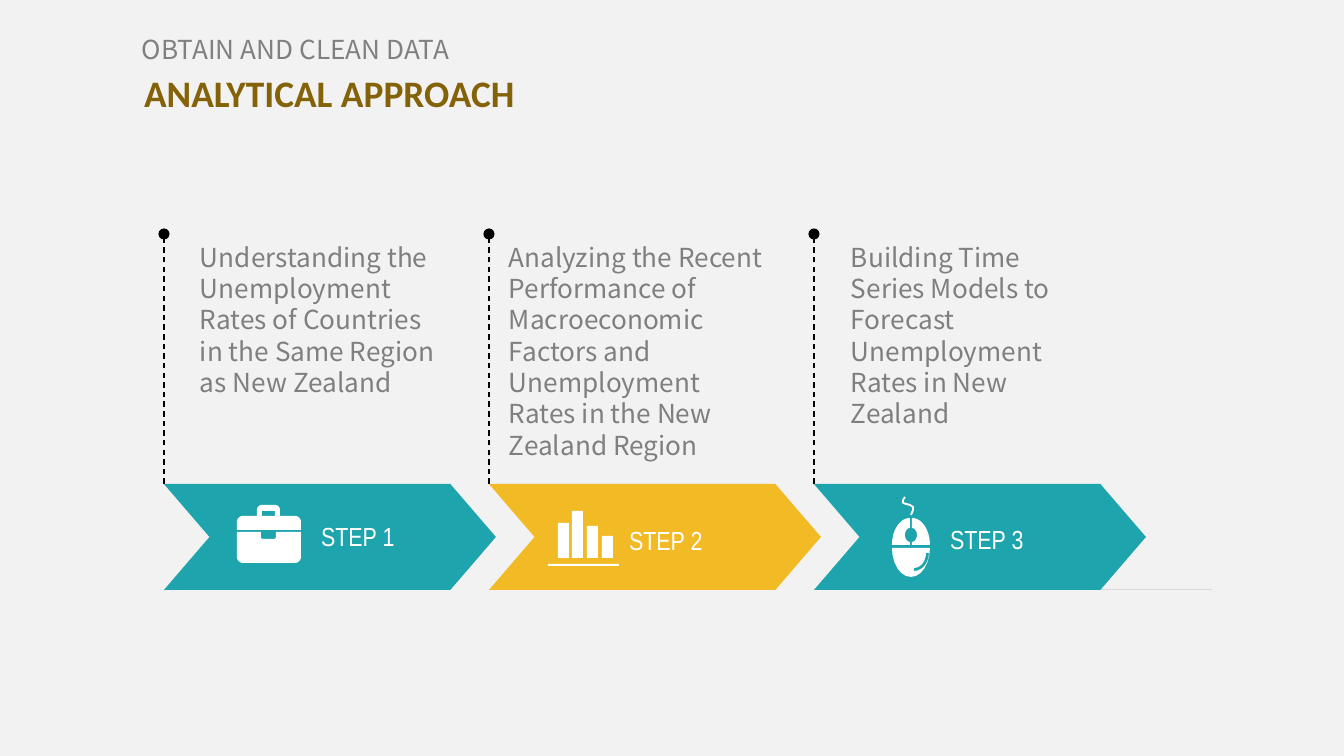
from dataclasses import dataclass
from math import cos, radians, sin

from lxml import etree
from pptx import Presentation
from pptx.dml.color import RGBColor
from pptx.enum.dml import MSO_LINE
from pptx.enum.shapes import MSO_CONNECTOR, MSO_SHAPE
from pptx.enum.text import MSO_ANCHOR, MSO_AUTO_SIZE, PP_ALIGN
from pptx.oxml.ns import qn
from pptx.util import Pt

DASH = MSO_LINE.DASH
STRAIGHT = MSO_CONNECTOR.STRAIGHT
CHEVRON, RECT = MSO_SHAPE.CHEVRON, MSO_SHAPE.RECTANGLE
TOP, LEFT, NO_FIT = MSO_ANCHOR.TOP, PP_ALIGN.LEFT, MSO_AUTO_SIZE.NONE
EMU_PER_PX = 914400 / 134.4


def px(value):
    return round(value * EMU_PER_PX)


@dataclass(frozen=True)
class Theme:
    bg: str = "F2F2F2"
    teal: str = "1EA4AD"
    gold: str = "F2BA25"
    white: str = "FFFFFF"
    black: str = "000000"
    rule: str = "D9D9D9"
    title: str = "846208"
    kicker: str = "808080"
    body: str = "7F7F7F"
    title_font: str = "Calibri"
    body_font: str = "Noto Sans CJK SC"
    label_font: str = "Arial Narrow"
    title_size: int = 20
    text_size: int = 14


def write(sp, text, font, size, color, bold=False, inset=(13, 7)):
    """Put one formatted paragraph into a shape."""
    tf = sp.text_frame
    tf.word_wrap = True
    tf.auto_size = NO_FIT
    tf.vertical_anchor = TOP
    tf.margin_left = tf.margin_right = px(inset[0])
    tf.margin_top = tf.margin_bottom = px(inset[1])
    p = tf.paragraphs[0]
    p.alignment = LEFT
    r = p.add_run()
    r.text = text
    r.font.name, r.font.size, r.font.bold = font, Pt(size), bold
    r.font.color.rgb = RGBColor.from_string(color)
    ea = etree.SubElement(r.font._element, qn("a:ea"))
    ea.set("typeface", font)


def arc(cx, cy, rx, ry, start, end, steps=12):
    """Points along part of an ellipse, angles in degrees."""
    angles = [radians(start + (end - start) * i / steps) for i in range(steps + 1)]
    return [(cx + rx * cos(a), cy + ry * sin(a)) for a in angles]


class Deck:
    def __init__(self, theme):
        self.theme = theme
        self.prs = Presentation()
        self.prs.slide_width, self.prs.slide_height = px(1344), px(756)
        self.s = self.prs.slides.add_slide(self.prs.slide_layouts[5])
        self.paint(self.s.background.fill, theme.bg)

    def paint(self, fill, color):
        fill.solid()
        fill.fore_color.rgb = RGBColor.from_string(color)

    def finish(self, sp, color):
        sp.shadow.inherit = False
        self.paint(sp.fill, color)
        sp.line.fill.background()
        return sp

    def title(self, text, x, y, w, h):
        sp = self.s.shapes.title
        sp.left, sp.top, sp.width, sp.height = map(px, (x, y, w, h))
        t = self.theme
        write(sp, text, t.title_font, t.title_size, t.title, bold=True, inset=(11, 5))

    def text(self, text, x, y, w, h, font, color, **fmt):
        sp = self.s.shapes.add_textbox(*map(px, (x, y, w, h)))
        write(sp, text, font, self.theme.text_size, color, **fmt)

    def shape(self, kind, x, y, w, h, color):
        return self.finish(self.s.shapes.add_shape(kind, *map(px, (x, y, w, h))), color)

    def line(self, x1, y1, x2, y2, color, width, dash=None, dot=False):
        cn = self.s.shapes.add_connector(STRAIGHT, *map(px, (x1, y1, x2, y2)))
        self.paint(cn.line.fill, color)
        cn.line.width = Pt(width)
        if dash:
            cn.line.dash_style = dash
        if dot:
            etree.SubElement(cn.line._get_or_add_ln(), qn("a:tailEnd")).set("type", "oval")
        etree.SubElement(cn._element.spPr, qn("a:effectLst"))

    def outline(self, contours, color, stroke=None):
        """Filled closed outline, or an open stroke when a width is given."""
        scaled = [[(px(x), px(y)) for x, y in pts] for pts in contours]
        fb = self.s.shapes.build_freeform(*scaled[0][0])
        for i, pts in enumerate(scaled):
            if i:
                fb.move_to(*pts[0])
            fb.add_line_segments(pts[1:], close=stroke is None)
        sp = self.finish(fb.convert_to_shape(), color)
        if stroke:
            sp.fill.background()
            self.paint(sp.line.fill, color)
            sp.line.width = Pt(stroke)

    # Icons
    def briefcase(self):
        lid = ([(237, 530)] + arc(243, 522, 6, 6, 180, 270) + [(257, 516)]
               + arc(262, 510, 5, 5, 180, 270) + arc(275, 510, 5, 5, 270, 360)
               + [(280, 516)] + arc(295, 522, 6, 6, 270, 360) + [(301, 530)])
        handle = [(262, 511), (275, 511), (275, 516), (262, 516)]
        self.outline([lid, handle], self.theme.white)
        case = ([(237, 532), (261, 532)] + arc(263, 537, 2, 2, 180, 90)
                + arc(274, 537, 2, 2, 90, 0) + [(276, 532), (301, 532)]
                + arc(295, 557, 6, 6, 0, 90) + arc(243, 557, 6, 6, 90, 180))
        self.outline([case], self.theme.white)

    def bars(self):
        base = 558
        for x, h in ((558, 35), (572, 47), (587, 32), (602, 22)):
            self.shape(RECT, x, base - h, 11, h, self.theme.white)
        self.shape(RECT, 548, 564, 71, 2, self.theme.white)

    def mouse(self):
        white = self.theme.white
        for side in (-1, 1):
            x = 911 + side
            button = (arc(x, 545, side * 18, -27, 0, 90)
                      + arc(x, 535, side * 5, -7, 90, -90) + [(x, 545)])
            self.outline([button], white)
        glint = arc(914, 553, 15, 18, 0, 90) + arc(914, 553, 12, 15, 90, 0)
        self.outline([arc(911, 548, 19, 29, 0, 180), glint], white)
        cord = [(905, 497), (903, 500), (903, 503), (906, 504),
                (910, 505), (913, 507), (913, 510), (911, 515)]
        self.outline([cord], white, stroke=1)


def main():
    t = Theme()
    deck = Deck(t)

    # Heading
    deck.title("ANALYTICAL APPROACH", 133, 65, 420, 55)
    deck.text("OBTAIN AND CLEAN DATA", 133, 28, 400, 42, t.body_font, t.kicker,
              inset=(9, 5))

    # Baseline behind the arrows
    deck.line(957, 590, 1212, 590, t.rule, 0.5)

    # Steps: colour, icon, label position, description position and width
    steps = [
        (t.teal, deck.briefcase, (308, 513), 187, 267,
         "Understanding the Unemployment Rates of Countries in the Same Region "
         "as New Zealand"),
        (t.gold, deck.bars, (616, 517), 496, 289,
         "Analyzing the Recent Performance of Macroeconomic Factors and "
         "Unemployment Rates in the New Zealand Region"),
        (t.teal, deck.mouse, (937, 516), 838, 267,
         "Building Time Series Models to Forecast Unemployment Rates in New Zealand"),
    ]
    for i, (color, icon, label_at, text_x, text_w, text) in enumerate(steps):
        x = 164 + 325 * i
        deck.line(x, 484, x, 234, t.black, 0.75, dash=DASH, dot=True)
        arrow = deck.shape(CHEVRON, x, 484, 332, 106, color)
        arrow.adjustments[0] = 0.43
        icon()
        deck.text(f"STEP {i + 1}", *label_at, 110, 51, t.label_font, t.white)
        deck.text(text, text_x, 234, text_w, 235, t.body_font, t.body)

    deck.prs.save("out.pptx")


if __name__ == "__main__":
    main()
